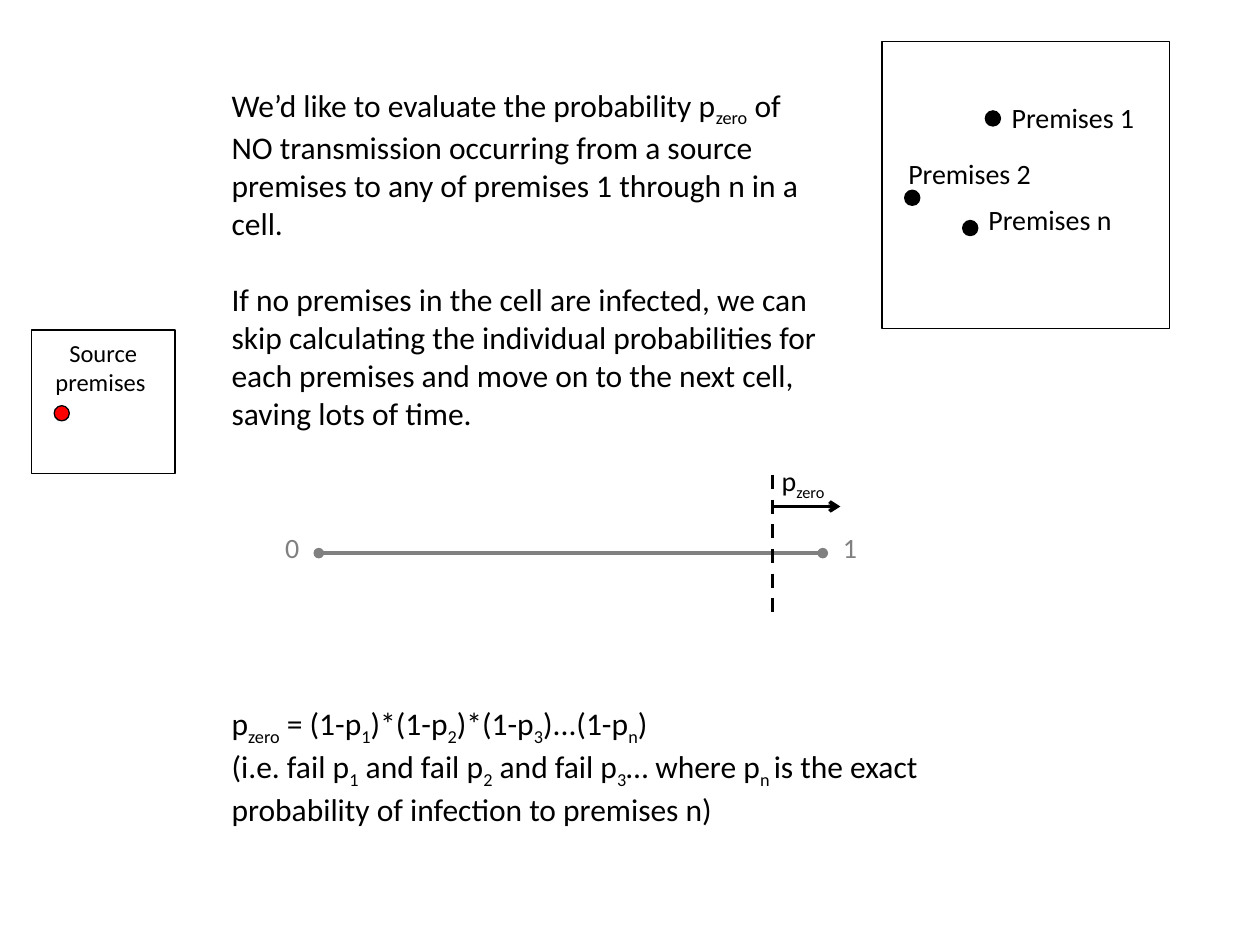
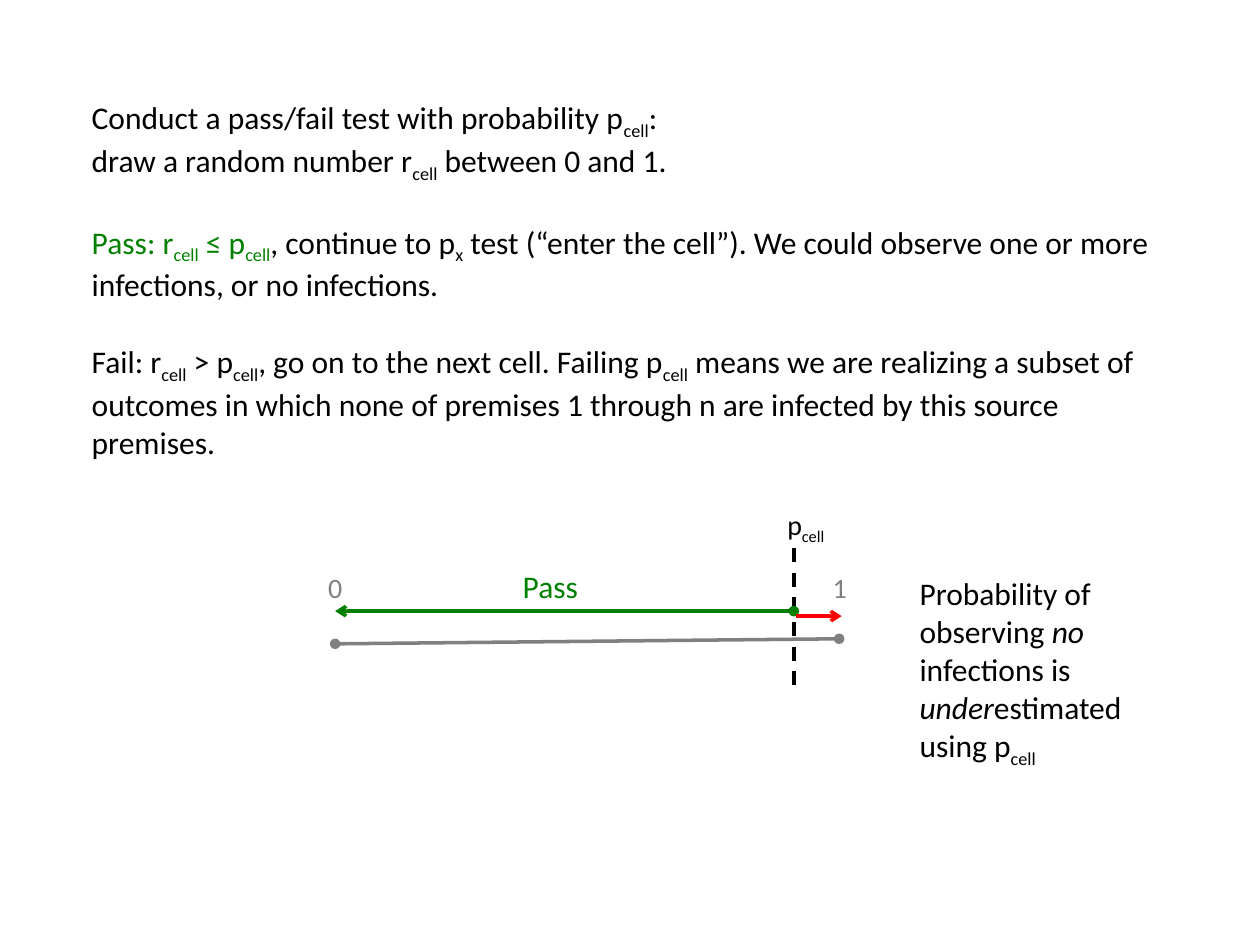
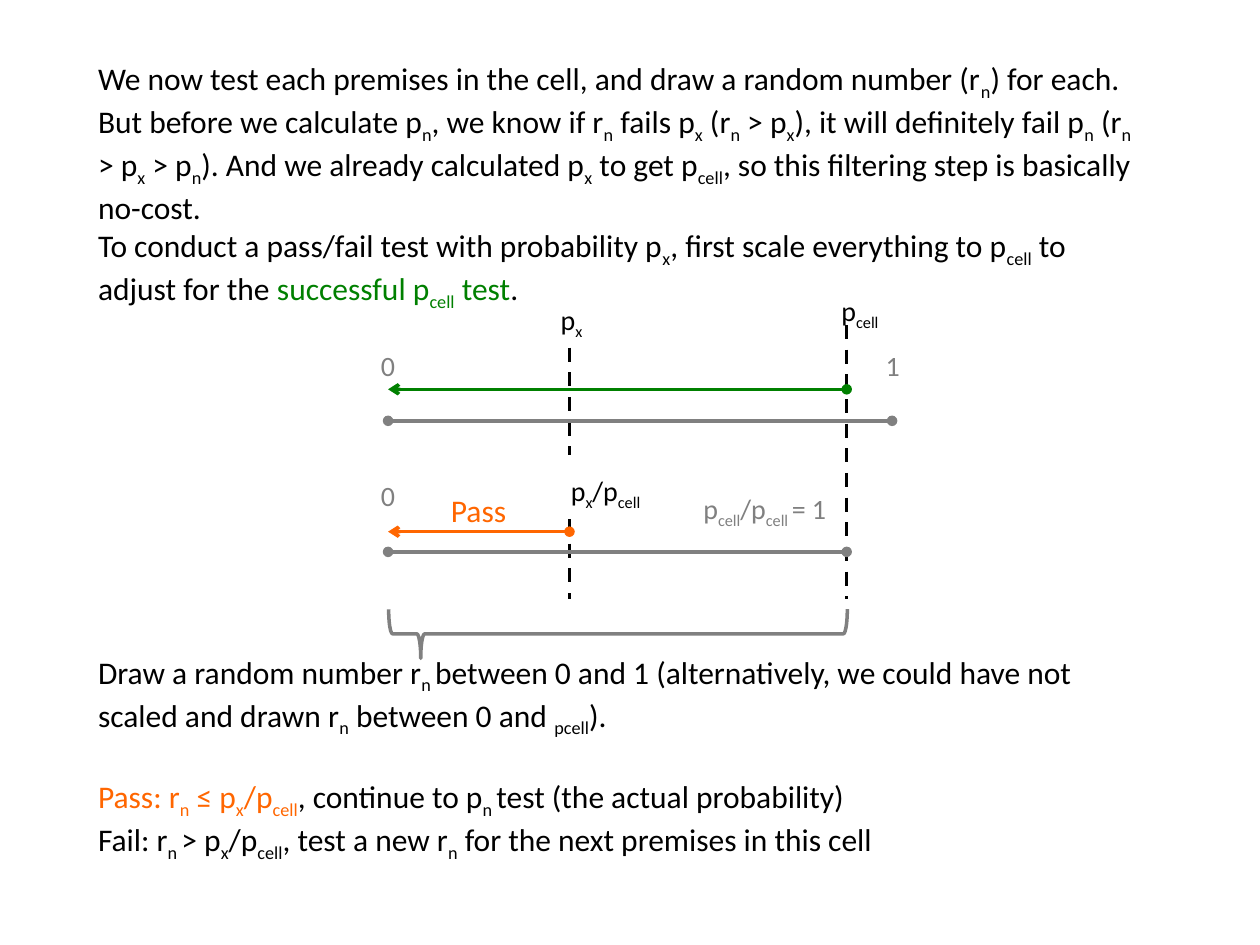
from lxml.etree import SubElement
from pptx import Presentation
from pptx.dml.color import RGBColor
from pptx.enum.dml import MSO_LINE
from pptx.enum.shapes import MSO_CONNECTOR, MSO_SHAPE
from pptx.enum.text import MSO_AUTO_SIZE, PP_ALIGN
from pptx.oxml.ns import qn
from pptx.util import Inches, Pt

# Shared look
colour = RGBColor.from_string
BLACK, GREY, RED = "000000", "808080", "FF0000"
GREEN, ORANGE = "008000", "FF6600"
INKS = {"<green>": GREEN, "<orange>": ORANGE, "<black>": BLACK}
BODY, LABEL, SMALL = 18, 16, 14
LEFT, CENTRE, RIGHT = PP_ALIGN.LEFT, PP_ALIGN.CENTER, PP_ALIGN.RIGHT
EMPTY_LINE = Pt(22)

deck = Presentation()
deck.slide_width, deck.slide_height = Inches(10), Inches(7.5)
blank = deck.slide_layouts[6]

# Grid of 100 columns by 75 rows
COLUMN, ROW = deck.slide_width / 100, deck.slide_height / 75
GRID = (COLUMN, ROW, COLUMN, ROW)


def add_text(page, at, paragraphs, size=LABEL, ink=BLACK, align=LEFT):
    """Spans split at |, _ is subscript, ~ italic, <name> an ink, ^ a gap above."""
    box = page.shapes.add_textbox(*[int(n * step) for n, step in zip(at, GRID)])
    frame = box.text_frame
    frame.word_wrap = True
    frame.auto_size = MSO_AUTO_SIZE.SHAPE_TO_FIT_TEXT
    for index, text in enumerate(paragraphs):
        para = frame.add_paragraph() if index else frame.paragraphs[0]
        para.alignment = align
        if text.startswith("^"):
            para.space_before = EMPTY_LINE
        now = ink
        for part in text.lstrip("^").split("|"):
            if part in INKS:
                now = INKS[part]
                continue
            span = para.add_run()
            span.text = part.lstrip("_~")
            looks = {"name": "Calibri", "size": Pt(size)}
            if part.startswith("~"):
                looks["italic"] = True
            for name, value in looks.items():
                setattr(span.font, name, value)
            span.font.color.rgb = colour(now)
            if part.startswith("_"):
                span._r.get_or_add_rPr().set("baseline", "-25000")


def add_line(page, start, end, ink=BLACK, head=None, tail=None, dashed=False):
    points = [int(n * step) for n, step in zip(start + end, GRID)]
    line = page.shapes.add_connector(MSO_CONNECTOR.STRAIGHT, *points)
    line.line.color.rgb = colour(ink)
    line.line.width = Pt(2)
    if dashed:
        line.line.dash_style = MSO_LINE.DASH
    properties = line._element.spPr
    outline = properties.find(qn("a:ln"))
    for tag, kind in (("a:headEnd", head), ("a:tailEnd", tail)):
        if kind:
            SubElement(outline, qn(tag), type=kind)
    SubElement(properties, qn("a:effectLst"))


# Slide 1: probability of no transmission
page = deck.slides.add_slide(blank)

# Cells and the premises in them
for kind, left, top, side, fill in (
    (MSO_SHAPE.RECTANGLE, 70, 3.3, 22.8, None),
    (MSO_SHAPE.RECTANGLE, 2.5, 26.2, 11.4, None),
    (MSO_SHAPE.OVAL, 71.8, 15.1, 1.2, BLACK),
    (MSO_SHAPE.OVAL, 76.4, 17.5, 1.2, BLACK),
    (MSO_SHAPE.OVAL, 78.2, 8.8, 1.2, BLACK),
    (MSO_SHAPE.OVAL, 4.3, 32.2, 1.2, RED),
):
    at = [int(n * step) for n, step in zip((left, top, side, side), GRID)]
    shape = page.shapes.add_shape(kind, *at)
    shape.shadow.inherit = False
    shape.line.color.rgb = colour(BLACK)
    shape.line.width = Pt(0.75)
    if fill:
        shape.fill.solid()
        shape.fill.fore_color.rgb = colour(fill)
    else:
        shape.fill.background()

for name, left, top in (("2", 70, 11.9), ("1", 78.2, 7.5), ("n", 76.4, 15.6)):
    add_text(page, (left, top, 12.8, 3.8), ["Premises " + name], align=RIGHT)
add_text(page, (2.5, 26.3, 11.4, 5.7), ["Source premises "], SMALL, align=CENTRE)

# Explanation
add_text(page, (17.4, 6.3, 48.7, 28.3), [
    "We’d like to evaluate the probability p|_zero| of NO transmission occurring "
    "from a source premises to any of premises 1 through n in a cell.",
    "^If no premises in the cell are infected, we can skip calculating the "
    "individual probabilities for each premises and move on to the next cell, "
    "saving lots of time.",
], BODY)
add_text(page, (17.4, 55.4, 59, 13.1), [
    "p|_zero| = (1-p|_1|)*(1-p|_2|)*(1-p|_3|)...(1-p|_n|) ",
    "(i.e. fail p|_1| and fail p|_2| and fail p|_3|… where p|_n |is the exact "
    "probability of infection to premises n)",
], BODY)

# Number line
add_line(page, (25.3, 43.9), (65.3, 43.9), GREY, "oval", "oval")
add_text(page, (59.5, 36.3, 6.9, 3.7), ["p|_zero"], align=RIGHT)
add_text(page, (21.2, 41.6, 4, 3.7), ["0"], ink=GREY, align=CENTRE)
add_text(page, (65.3, 41.6, 4.3, 3.7), ["1"], ink=GREY, align=CENTRE)
add_line(page, (61.3, 37.7), (61.3, 48.8), dashed=True)
add_line(page, (61.3, 40.2), (66.7, 40.2), tail="arrow")

# Slide 2: test for the cell
page = deck.slides.add_slide(blank)
add_text(page, (6.3, 7.3, 88.7, 28.3), [
    "Conduct a pass/fail test with probability p|_cell|: ",
    "draw a random number r|_cell| between 0 and 1.",
    "^<green>|Pass: r|_cell| ≤ p|_cell|<black>|, continue to p|_x| test (“enter "
    "the cell”). We could observe one or more infections, or no infections.",
    "^Fail: r|_cell| > p|_cell|, go on to the next cell. Failing p|_cell| means we "
    "are realizing a subset of outcomes in which none of premises 1 through n are "
    "infected by this source premises. ",
], BODY)

# Number line
add_line(page, (26.6, 51.1), (66.6, 50.7), GREY, "oval", "oval")
add_text(page, (24.6, 44.8, 4, 3.7), ["0"], ink=GREY, align=CENTRE)
add_text(page, (64.5, 44.8, 4.3, 3.7), ["1"], ink=GREY, align=CENTRE)
add_text(page, (59.6, 39.8, 6.8, 3.7), ["p|_cell"], align=RIGHT)
add_line(page, (63, 43.5), (63, 55.2), dashed=True)
add_line(page, (63, 48.5), (26.6, 48.5), GREEN, "oval", "arrow")
add_line(page, (63.2, 48.9), (66.8, 48.9), RED, tail="arrow")
add_text(page, (40.5, 44.5, 7.1, 4), ["Pass"], BODY, GREEN)
add_text(page, (72, 45.1, 19.7, 16.2), [
    "Probability of observing |~no| infections is |~under|estimated using p|_cell",
], BODY)

# Slide 3: test for each premises
page = deck.slides.add_slide(blank)
add_text(page, (6.8, 4.2, 84.4, 19.2), [
    "We now test each premises in the cell, and draw a random number (r|_n|) for "
    "each. But before we calculate p|_n|, we know if r|_n| fails p|_x| (r|_n| > "
    "p|_x|), it will definitely fail p|_n| (r|_n| > p|_x| > p|_n|). And we already "
    "calculated p|_x| to get p|_cell|, so this filtering step is basically no-cost.",
    "To conduct a pass/fail test with probability p|_x|, first scale everything to "
    "p|_cell| to adjust for the |<green>|successful p|_cell| test|<black>|. ",
], BODY)

# Thresholds
ZERO, P_X, P_CELL, ONE = 30.8, 45.2, 67.2, 70.8
for x, top, bottom in ((P_CELL, 25.8, 47.5), (P_X, 27.6, 36.1), (P_X, 41.2, 47.5)):
    add_line(page, (x, top), (x, bottom), dashed=True)

# Full and rescaled number lines, each with its passing range
for y, end, pass_y, pass_end, ink, zero_y in (
    (33.4, ONE, 30.9, P_CELL, GREEN, 27.2),
    (43.8, P_CELL, 42.2, P_X, ORANGE, 37.5),
):
    add_line(page, (ZERO, y), (end, y), GREY, "oval", "oval")
    add_line(page, (pass_end, pass_y), (ZERO, pass_y), ink, "oval", "arrow")
    add_text(page, (ZERO - 2, zero_y, 4, 3.7), ["0"], ink=GREY, align=CENTRE)

# Labels
add_text(page, (68.7, 27.2, 4.3, 3.7), ["1"], ink=GREY, align=CENTRE)
add_text(page, (63.9, 22.8, 6.8, 3.7), ["p|_cell"], align=RIGHT)
add_text(page, (43.2, 23.5, 4, 3.7), ["p|_x"], align=RIGHT)
add_text(page, (40.5, 37.1, 11.3, 5.5), ["p|_x|/p|_cell"], align=RIGHT)
add_text(page, (54.2, 38.5, 13, 3.7), ["p|_cell|/p|_cell |= 1"], ink=GREY, align=CENTRE)
add_text(page, (34.8, 38.5, 7.1, 4), ["Pass"], BODY, ORANGE)

# Brace under the rescaled range
at = [int(n * step) for n, step in zip((47.1, 32.1, 3.9, P_CELL - ZERO), GRID)]
brace = page.shapes.add_shape(MSO_SHAPE.LEFT_BRACE, *at)
brace.rotation = 270
brace.adjustments[0], brace.adjustments[1] = 0.08, 0.07
brace.shadow.inherit = False
brace.fill.background()
brace.line.color.rgb = colour(GREY)
brace.line.width = Pt(2)

# Outcome
add_text(page, (6.8, 51.3, 81, 19.2), [
    "Draw a random number r|_n |between 0 and 1 (alternatively, we could have not "
    "scaled and drawn r|_n| between 0 and |_pcell|).",
    "^<orange>|Pass: r|_n| ≤ p|_x|/p|_cell|<black>|, continue to p|_n |test (the "
    "actual probability)",
    "Fail: r|_n |> p|_x|/p|_cell|, test a new r|_n| for the next premises in this "
    "cell",
], BODY)

deck.save("out.pptx")
